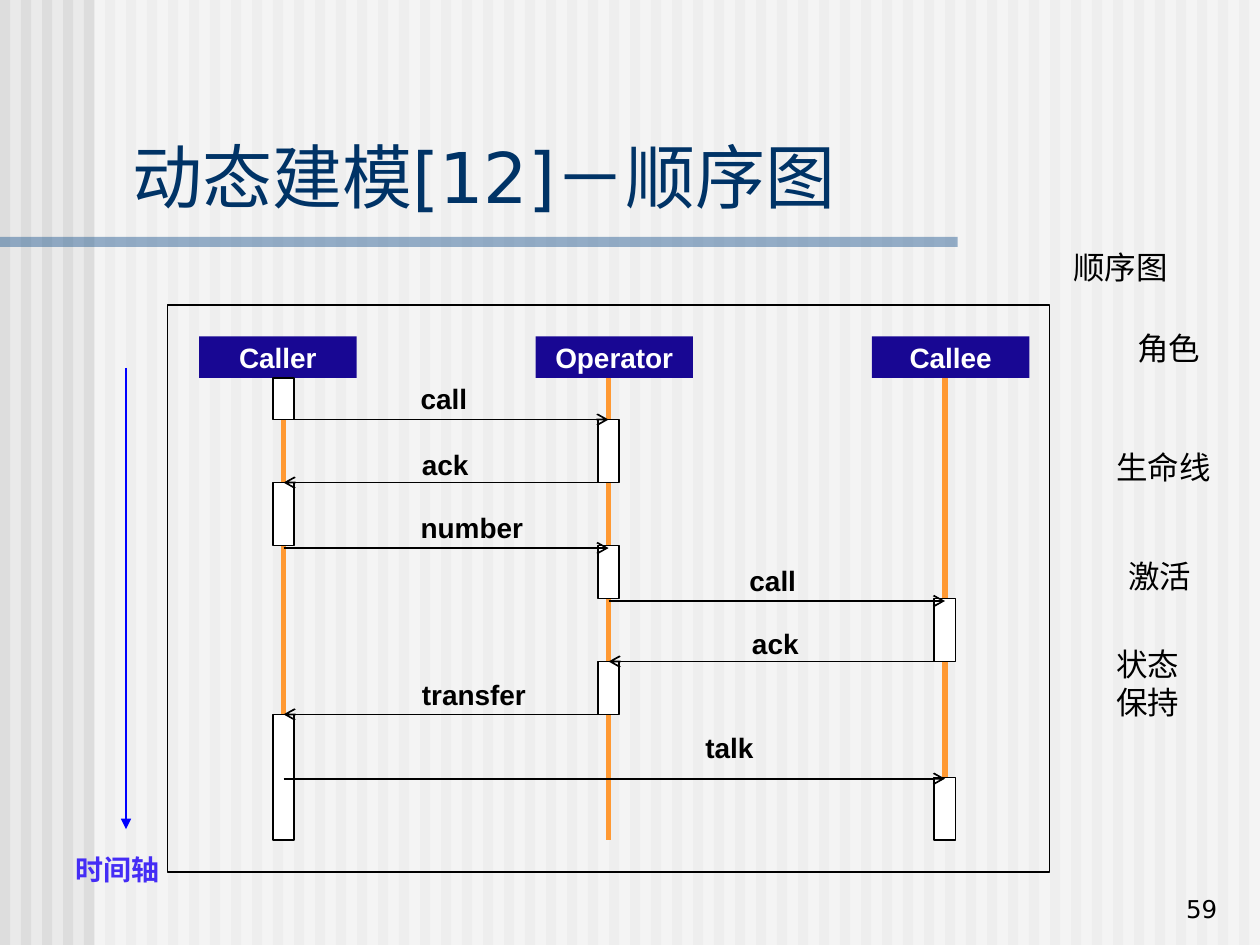
from lxml import etree
from pptx import Presentation
from pptx.dml.color import RGBColor
from pptx.enum.shapes import MSO_CONNECTOR, MSO_SHAPE
from pptx.enum.text import MSO_ANCHOR, MSO_AUTO_SIZE, PP_ALIGN
from pptx.oxml.ns import qn
from pptx.util import Inches, Pt

LEFT, CENTER, RIGHT = PP_ALIGN.LEFT, PP_ALIGN.CENTER, PP_ALIGN.RIGHT
TOP, MIDDLE, BOTTOM = MSO_ANCHOR.TOP, MSO_ANCHOR.MIDDLE, MSO_ANCHOR.BOTTOM
NO_RESIZE = MSO_AUTO_SIZE.NONE
RECTANGLE, STRAIGHT = MSO_SHAPE.RECTANGLE, MSO_CONNECTOR.STRAIGHT
TOP_SITE, BOTTOM_SITE = 0, 2

COLORS = {
    "background": "EAEAEA", "stripe": "DDDDDD", "white": "FFFFFF", "black": "000000",
    "rule": "336699", "title": "003366", "role": "180793", "lifeline": "FF9933",
    "axis": "0000FF", "axis label": "452DF5",
}

TITLE = "动态建模[12]－顺序图"
ROLES = {"Caller": (1.58, 2.25), "Operator": (4.25, 4.83), "Callee": (6.92, 7.5)}
LIFE_START, LIFE_END = 3, 6.67
BAR_WIDTH = 0.17
ACTIVATIONS = [
    ("Caller", 3, 3.33), ("Operator", 3.33, 3.83), ("Caller", 3.83, 4.33),
    ("Operator", 4.33, 4.75), ("Callee", 4.75, 5.25), ("Operator", 5.25, 5.67),
    ("Caller", 5.67, 6.67), ("Callee", 6.17, 6.67),
]
MESSAGES = [
    ("call", "Caller", "Operator", 3.33, (3.24, 2.98, 0.57)),
    ("ack", "Operator", "Caller", 3.83, (3.25, 3.5, 0.57)),
    ("number", "Caller", "Operator", 4.35, (3.24, 4, 1.01)),
    ("call", "Operator", "Callee", 4.77, (5.85, 4.42, 0.57)),
    ("ack", "Callee", "Operator", 5.25, (5.87, 4.92, 0.57)),
    ("talk", "Caller", "Callee", 6.18, (5.5, 5.75, 0.58)),
    ("transfer", "Operator", "Caller", 5.67, (3.25, 5.33, 1.02)),
]
NOTES = [
    ("顺序图", 8.42, 1.92, 1.17, 0.4, LEFT),
    ("生命线", 8.65, 3.51, 1.17, 0.4, CENTER),
    ("激活", 8.62, 4.37, 1.17, 0.4, CENTER),
    ("状态保持", 8.68, 5.07, 0.86, 0.7, CENTER),
    ("角色", 8.77, 2.56, 1.01, 0.4, CENTER),
]


def rgb(name):
    return RGBColor.from_string(COLORS[name])


def add_rectangle(page, left, top, width, height, fill=None, line=None, opacity=None):
    box = page.shapes.add_shape(
        RECTANGLE, Inches(left), Inches(top), Inches(width), Inches(height))
    box.shadow.inherit = False
    if fill:
        box.fill.solid()
        box.fill.fore_color.rgb = rgb(fill)
    else:
        box.fill.background()
    if line:
        box.line.color.rgb = rgb(line)
        box.line.width = Pt(1)
    else:
        box.line.fill.background()
    if opacity:
        color = box.fill._xPr.find(".//" + qn("a:srgbClr"))
        etree.SubElement(color, qn("a:alpha"), val=str(opacity * 1000))
    return box


def write(box, text, size, color="black", font="Arial", bold=False,
          align=LEFT, anchor=TOP, wrap=True):
    frame = box.text_frame
    frame.auto_size = NO_RESIZE
    frame.word_wrap = wrap
    frame.vertical_anchor = anchor
    frame.text = text
    para = frame.paragraphs[0]
    para.alignment = align
    para.font.size = Pt(size)
    para.font.name = font
    para.font.bold = bold
    para.font.color.rgb = rgb(color)


def add_text(page, text, left, top, width, height, size, **style):
    box = page.shapes.add_textbox(
        Inches(left), Inches(top), Inches(width), Inches(height))
    write(box, text, size, **style)


def add_line(page, start, end, color, width=1, arrow=None):
    line = page.shapes.add_connector(STRAIGHT, *map(Inches, start + end))
    line.line.color.rgb = rgb(color)
    line.line.width = Pt(width)
    if arrow:
        etree.SubElement(line.line._get_or_add_ln(), qn("a:tailEnd"), type=arrow)
    etree.SubElement(line._element.spPr, qn("a:effectLst"))
    return line


def join(line, start, end, sites):
    if start in sites:
        line.begin_connect(*sites[start])
    if end in sites:
        line.end_connect(*sites[end])


def draw_backdrop(page):
    page.background.fill.solid()
    page.background.fill.fore_color.rgb = rgb("background")
    for index in range(60):
        add_rectangle(page, index / 6, 0, 0.08, 7.5, "stripe")
    add_rectangle(page, 0.75, 0, 9.25, 7.5, "white", opacity=50)
    add_rectangle(page, 0, 1.88, 7.6, 0.08, "rule", opacity=50)


def draw_title(page):
    title = page.shapes.title
    title.left, title.top, title.width, title.height = map(
        Inches, (0.95, 1.01, 8.93, 0.77))
    write(title, TITLE, 40, color="title", font="DejaVu Sans", anchor=BOTTOM)
    title.element.getparent().append(title.element)


def draw_sequence(page):
    add_rectangle(page, 1.33, 2.42, 7, 4.5, line="black")
    lifelines = {}
    for role, (left, axis) in ROLES.items():
        head = add_rectangle(page, left, 2.67, 1.25, 0.33, "role")
        write(head, role, 16, color="white", bold=True,
              align=CENTER, anchor=MIDDLE, wrap=False)
        lifelines[role] = add_line(
            page, (axis, LIFE_START), (axis, LIFE_END), "lifeline", 3)

    sites = {}
    for role, start, end in ACTIVATIONS:
        bar = add_rectangle(page, ROLES[role][1] - BAR_WIDTH / 2, start,
                            BAR_WIDTH, end - start, "white", "black")
        sites[role, start] = (bar, TOP_SITE)
        sites[role, end] = (bar, BOTTOM_SITE)
    for role, lifeline in lifelines.items():
        join(lifeline, (role, LIFE_START), (role, LIFE_END), sites)

    for text, sender, receiver, time, (left, top, width) in MESSAGES:
        message = add_line(page, (ROLES[sender][1], time), (ROLES[receiver][1], time),
                           "black", arrow="arrow")
        join(message, (sender, time), (receiver, time), sites)
        add_text(page, text, left, top, width, 0.37, 16, bold=True, wrap=False)


def main():
    deck = Presentation()
    deck.slide_width, deck.slide_height = Inches(10), Inches(7.5)
    page = deck.slides.add_slide(deck.slide_layouts[5])
    draw_backdrop(page)
    draw_title(page)
    draw_sequence(page)
    add_line(page, (1, 2.92), (1, 6.58), "axis", arrow="triangle")
    add_text(page, "时间轴", 0.5, 6.72, 1, 0.37, 16, color="axis label", bold=True)
    for text, left, top, width, height, align in NOTES:
        add_text(page, text, left, top, width, height, 18, align=align)
    add_text(page, "59", 7.68, 6.88, 2.08, 0.5, 14,
             font="DejaVu Sans", align=RIGHT, anchor=BOTTOM)
    deck.save("out.pptx")


if __name__ == "__main__":
    main()
